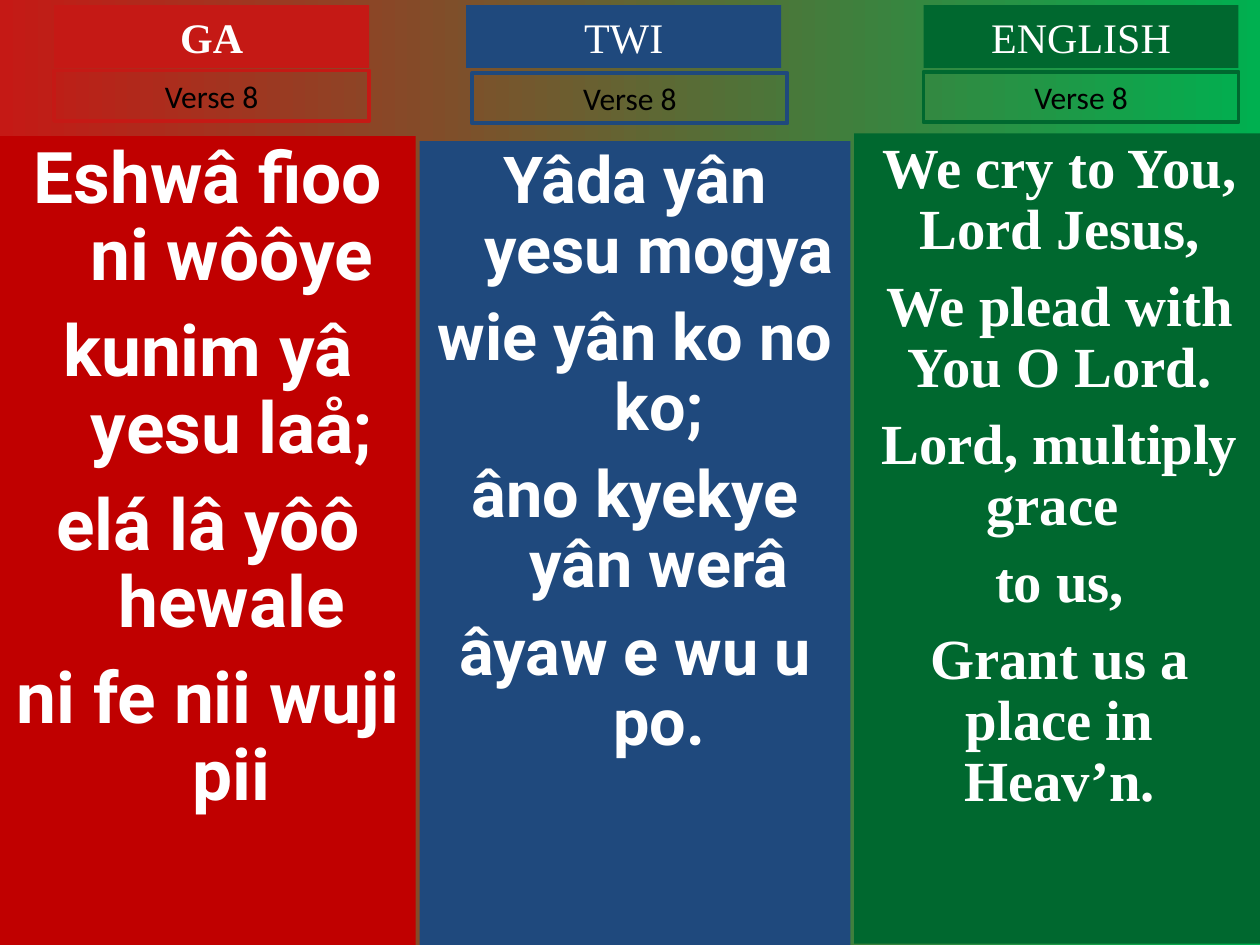
from pptx import Presentation
from pptx import util as u
from pptx.dml.color import RGBColor
from pptx.enum import shapes, text


def colour(value):
    return RGBColor.from_string(value)


class HymnSlide:
    serif = "Times New Roman"
    white = "FFFFFF"

    def __init__(self, deck):
        self.page = deck.slides.add_slide(deck.slide_layouts[6])

    def background(self, start, end):
        fill = self.page.background.fill
        fill.gradient()
        fill.gradient_angle = 0
        for stop, value in zip(fill.gradient_stops, (start, end)):
            stop.color.rgb = colour(value)

    def box(self, place, fill=None, line=None):
        box = self.page.shapes.add_shape(
            shapes.MSO_SHAPE.RECTANGLE, *(u.Inches(n) for n in place))
        box.shadow.inherit = False
        if fill:
            box.fill.solid()
            box.fill.fore_color.rgb = colour(fill)
        else:
            box.fill.background()
        if line:
            box.line.color.rgb = colour(line)
            box.line.width = u.Pt(2.25)
        else:
            box.line.fill.background()
        box.text_frame.word_wrap = True
        box.text_frame.vertical_anchor = text.MSO_ANCHOR.TOP
        return box

    def add_words(self, para, words, size, font, ink, bold=False):
        para.alignment = text.PP_ALIGN.CENTER
        span = para.add_run()
        span.text = words
        span.font.size = u.Pt(size)
        span.font.name = font
        span.font.bold = bold
        span.font.color.rgb = colour(ink)

    def label(self, place, words, size, font, ink, bold=False, **paint):
        frame = self.box(place, **paint).text_frame
        frame.auto_size = text.MSO_AUTO_SIZE.SHAPE_TO_FIT_TEXT
        self.add_words(frame.paragraphs[0], words, size, font, ink, bold)

    def heading(self, left, language, fill, bold=False):
        self.label((left, 0.04, 2.5, 0.5), language, 24, self.serif,
                   self.white, bold, fill=fill)

    def verse_number(self, left, top, line):
        self.label((left, top, 2.5, 0.4), "Verse 8", 18, "Calibri",
                   "000000", line=line)

    def verse(self, place, fill, lines, size, font, gap, hanging=0):
        frame = self.box(place, fill=fill).text_frame
        for index, words in enumerate(lines):
            para = frame.add_paragraph() if index else frame.paragraphs[0]
            para.line_spacing = 0.9
            if index:
                para.space_before = u.Pt(gap)
            if hanging:
                properties = para._p.get_or_add_pPr()
                properties.set("marL", str(u.Inches(hanging)))
                properties.set("indent", str(-u.Inches(hanging)))
            self.add_words(para, words, size, font, self.white, True)


def main():
    deck = Presentation()
    deck.slide_width = u.Inches(10)
    deck.slide_height = u.Inches(7.5)
    hymn = HymnSlide(deck)
    red, blue, green = "C51915", "1F497D", "00682F"
    hymn.background(red, "00B050")

    hymn.verse((0, 1.08, 3.3, 6.42), "C00000", [
        "Eshwâ fioo ni wôôye",
        "kunim yâ yesu laå;",
        "elá lâ yôô hewale",
        "ni fe nii wuji pii",
    ], 40.7, "Roboto", 11, 0.38)
    hymn.verse((3.33, 1.12, 3.42, 6.38), blue, [
        "Yâda yân yesu mogya",
        "wie yân ko no ko;",
        "âno kyekye yân werâ",
        "âyaw e wu u po.",
    ], 37, "Roboto", 10, 0.38)
    hymn.verse((6.78, 1.06, 3.26, 6.43), green, [
        "We cry to You, Lord Jesus,",
        "We plead with You O Lord.",
        "Lord, multiply grace ",
        "to us,",
        "Grant us a place in Heav’n.",
    ], 32.4, hymn.serif, 8.8)

    hymn.heading(0.43, "GA", red, bold=True)
    hymn.heading(3.7, "TWI", blue)
    hymn.heading(7.33, "ENGLISH", green)
    hymn.verse_number(0.43, 0.56, red)
    hymn.verse_number(3.75, 0.58, blue)
    hymn.verse_number(7.33, 0.57, green)
    deck.save("out.pptx")


if __name__ == "__main__":
    main()
